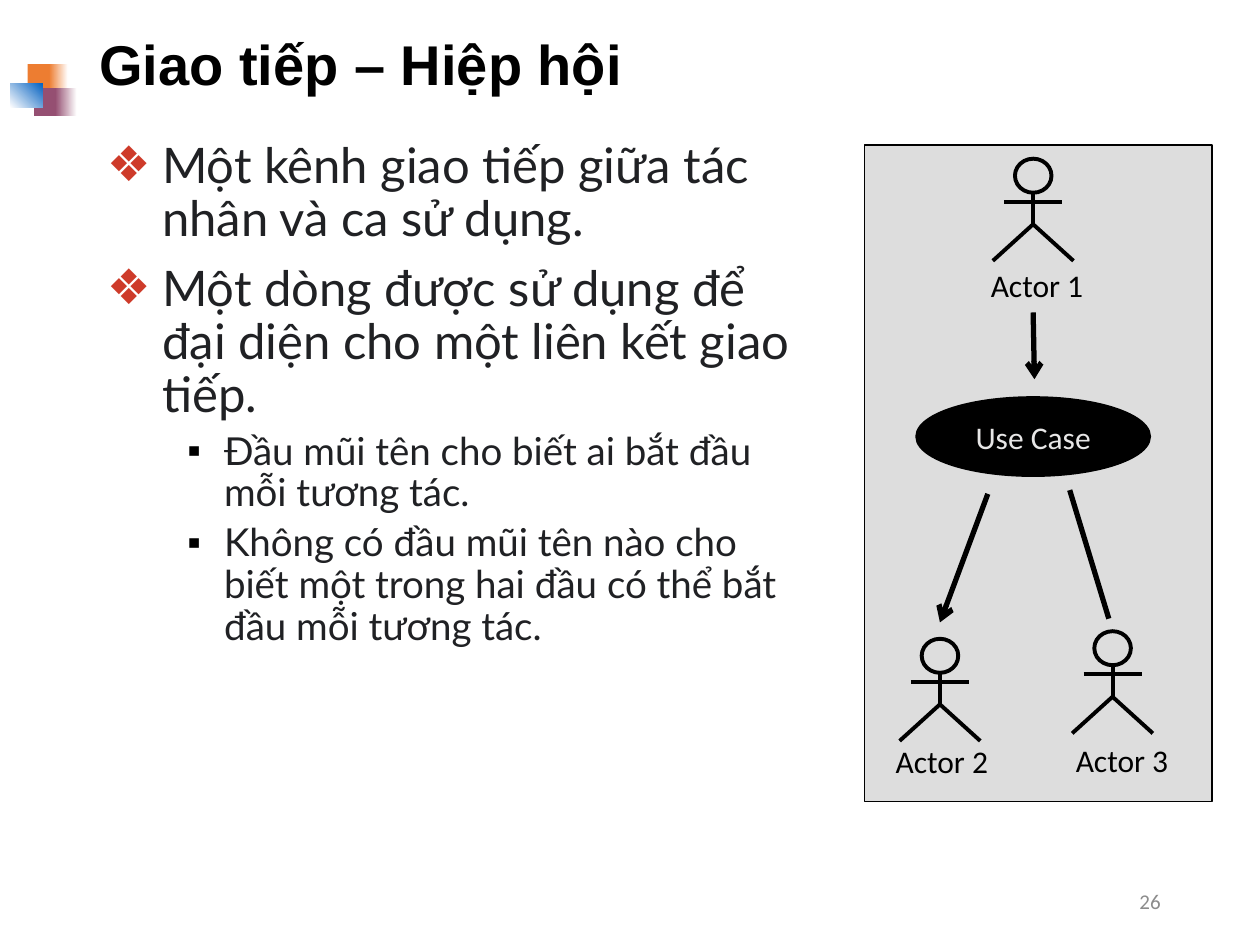
from typing import NamedTuple

from lxml import etree
from pptx import Presentation
from pptx.dml.color import RGBColor
from pptx.enum.shapes import MSO_CONNECTOR, MSO_SHAPE
from pptx.enum.text import MSO_ANCHOR, PP_ALIGN
from pptx.oxml.ns import qn
from pptx.util import Inches, Pt

RECT = MSO_SHAPE.RECTANGLE
OVAL = MSO_SHAPE.OVAL
STRAIGHT = MSO_CONNECTOR.STRAIGHT
MIDDLE = MSO_ANCHOR.MIDDLE
TOP = MSO_ANCHOR.TOP
LEFT = PP_ALIGN.LEFT
CENTER = PP_ALIGN.CENTER
RIGHT = PP_ALIGN.RIGHT

COLORS = {
    "black": "000000", "white": "FFFFFF", "orange": "ED7D31",
    "plum": "954F72", "blue": "0563C1", "body": "202124",
    "bullet": "CE3B2A", "panel": "DDDDDD", "use_case": "E7E6E6",
    "number": "8C8C8C",
}


class Box(NamedTuple):
    left: float
    top: float
    width: float
    height: float


class Tile(NamedTuple):
    box: Box
    start: str
    end: str | None = None
    angle: int = 0


class Level(NamedTuple):
    mark: str
    mark_color: str
    margin: float
    hanging: float
    size: int
    before: int


class Point(NamedTuple):
    text: str
    level: int


class Actor(NamedTuple):
    name: str
    center: float
    top: float
    label: Box


class Association(NamedTuple):
    start: tuple[float, float]
    end: tuple[float, float]
    arrow: bool


TILES = [
    Tile(Box(0.22, 0.51, 0.2, 0.22), "orange"),
    Tile(Box(0.39, 0.51, 0.15, 0.22), "orange", "white"),
    Tile(Box(0.27, 0.7, 0.19, 0.22), "plum"),
    Tile(Box(0.44, 0.7, 0.17, 0.22), "plum", "white"),
    Tile(Box(0.08, 0.66, 0.26, 0.19), "white", "blue", 45),
]
LEVELS = [
    Level("❖", "bullet", 0.44, 0.44, 28, 10),
    Level("▪", "black", 0.93, 0.29, 22, 5),
]
POINTS = [
    Point("Một kênh giao tiếp giữa tác nhân và ca sử dụng.", 0),
    Point("Một dòng được sử dụng để đại diện cho một liên kết giao tiếp.", 0),
    Point("Đầu mũi tên cho biết ai bắt đầu mỗi tương tác.", 1),
    Point("Không có đầu mũi tên nào cho biết một trong hai đầu có thể bắt đầu mỗi tương tác.", 1),
]
ACTORS = [
    Actor("Actor 1", 8.2, 1.26, Box(7.44, 2.06, 1.58, 0.43)),
    Actor("Actor 2", 7.46, 5.07, Box(6.64, 5.84, 1.67, 0.43)),
    Actor("Actor 3", 8.83, 5.01, Box(8.07, 5.83, 1.67, 0.43)),
]
ASSOCIATIONS = [
    Association((8.2, 2.48), (8.21, 3.01), True),
    Association((7.84, 3.92), (7.46, 4.94), True),
    Association((8.8, 4.91), (8.49, 3.89), False),
]


def rgb(name: str) -> RGBColor:
    return RGBColor.from_string(COLORS[name])


def add_panel(slide, kind, box: Box, fill: str | None = None, line_width: float = 0):
    panel = slide.shapes.add_shape(kind, *map(Inches, box))
    panel.shadow.inherit = False
    if fill:
        panel.fill.solid()
        panel.fill.fore_color.rgb = rgb(fill)
    else:
        panel.fill.background()
    if line_width:
        panel.line.color.rgb = rgb("black")
        panel.line.width = Pt(line_width)
    else:
        panel.line.fill.background()
    return panel


def add_tile(slide, tile: Tile) -> None:
    panel = add_panel(slide, RECT, tile.box, tile.start)
    if tile.end:
        panel.fill.gradient()
        panel.fill.gradient_angle = tile.angle
        for stop, color, position in zip(panel.fill.gradient_stops, (tile.start, tile.end), (0, 1)):
            stop.color.rgb = rgb(color)
            stop.position = position


def write(paragraph, text: str, *, size: int, font: str = "Calibri", color: str = "black",
          bold: bool = False, align=LEFT, spacing: float = 1.0) -> None:
    paragraph.text = text
    paragraph.alignment = align
    paragraph.line_spacing = spacing
    paragraph.font.name = font
    paragraph.font.size = Pt(size)
    paragraph.font.bold = bold
    paragraph.font.color.rgb = rgb(color)


def add_frame(slide, box: Box, anchor=TOP):
    frame = slide.shapes.add_textbox(*map(Inches, box)).text_frame
    frame.word_wrap = True
    frame.vertical_anchor = anchor
    return frame


def add_bullet(paragraph, level: Level) -> None:
    properties = paragraph._p.get_or_add_pPr()
    properties.set("marL", str(Inches(level.margin)))
    properties.set("indent", str(-Inches(level.hanging)))
    mark_color = etree.SubElement(properties, qn("a:buClr"))
    etree.SubElement(mark_color, qn("a:srgbClr"), val=COLORS[level.mark_color])
    etree.SubElement(properties, qn("a:buFont"), typeface="Arial")
    etree.SubElement(properties, qn("a:buChar"), char=level.mark)


def add_points(slide) -> None:
    frame = add_frame(slide, Box(0.75, 1.07, 5.67, 5.26))
    for index, point in enumerate(POINTS):
        paragraph = frame.add_paragraph() if index else frame.paragraphs[0]
        level = LEVELS[point.level]
        paragraph.level = point.level
        add_bullet(paragraph, level)
        write(paragraph, point.text, size=level.size, font="Lato", color="body", spacing=0.9)
        if index:
            paragraph.space_before = Pt(level.before)


def add_line(slide, start: tuple[float, float], end: tuple[float, float],
             width: float, arrow: bool = False) -> None:
    line = slide.shapes.add_connector(STRAIGHT, *map(Inches, (*start, *end)))
    line.line.color.rgb = rgb("black")
    line.line.width = Pt(width)
    if arrow:
        etree.SubElement(line.line._get_or_add_ln(), qn("a:tailEnd"), type="arrow")
    etree.SubElement(line._element.spPr, qn("a:effectLst"))


def add_actor(slide, actor: Actor) -> None:
    x, top = actor.center, actor.top
    hip, foot, arm = top + 0.52, top + 0.81, top + 0.34
    add_panel(slide, OVAL, Box(x - 0.145, top, 0.29, 0.27), line_width=2.25)
    add_line(slide, (x, top + 0.27), (x, hip), 2.25)
    add_line(slide, (x - 0.23, arm), (x + 0.23, arm), 2.25)
    builder = slide.shapes.build_freeform(Inches(x - 0.32), Inches(foot))
    builder.add_line_segments(
        [(Inches(x), Inches(hip)), (Inches(x + 0.32), Inches(foot))], close=False)
    legs = builder.convert_to_shape()
    legs.shadow.inherit = False
    legs.fill.background()
    legs.line.color.rgb = rgb("black")
    legs.line.width = Pt(2.25)
    write(add_frame(slide, actor.label).paragraphs[0], actor.name, size=18, align=CENTER)


def main() -> None:
    deck = Presentation()
    deck.slide_width, deck.slide_height = Inches(10), Inches(7.5)
    slide = deck.slides.add_slide(deck.slide_layouts[6])
    for tile in TILES:
        add_tile(slide, tile)
    title = add_frame(slide, Box(0.69, 0.13, 8.62, 0.81), MIDDLE)
    write(title.paragraphs[0], "Giao tiếp – Hiệp hội", size=32, font="Arial", bold=True, spacing=0.9)
    add_points(slide)
    number = add_frame(slide, Box(7.06, 6.95, 2.25, 0.4), MIDDLE)
    write(number.paragraphs[0], "26", size=12, color="number", align=RIGHT)

    add_panel(slide, RECT, Box(6.86, 1.15, 2.76, 5.21), "panel", 0.75)
    for link in ASSOCIATIONS:
        add_line(slide, link.start, link.end, 3, link.arrow)
    use_case = add_panel(slide, OVAL, Box(7.28, 3.16, 1.84, 0.61), "black", 2.25).text_frame
    use_case.word_wrap = False
    use_case.vertical_anchor = MIDDLE
    write(use_case.paragraphs[0], "Use Case", size=18, color="use_case", align=CENTER)
    for actor in ACTORS:
        add_actor(slide, actor)
    deck.save("out.pptx")


if __name__ == "__main__":
    main()
